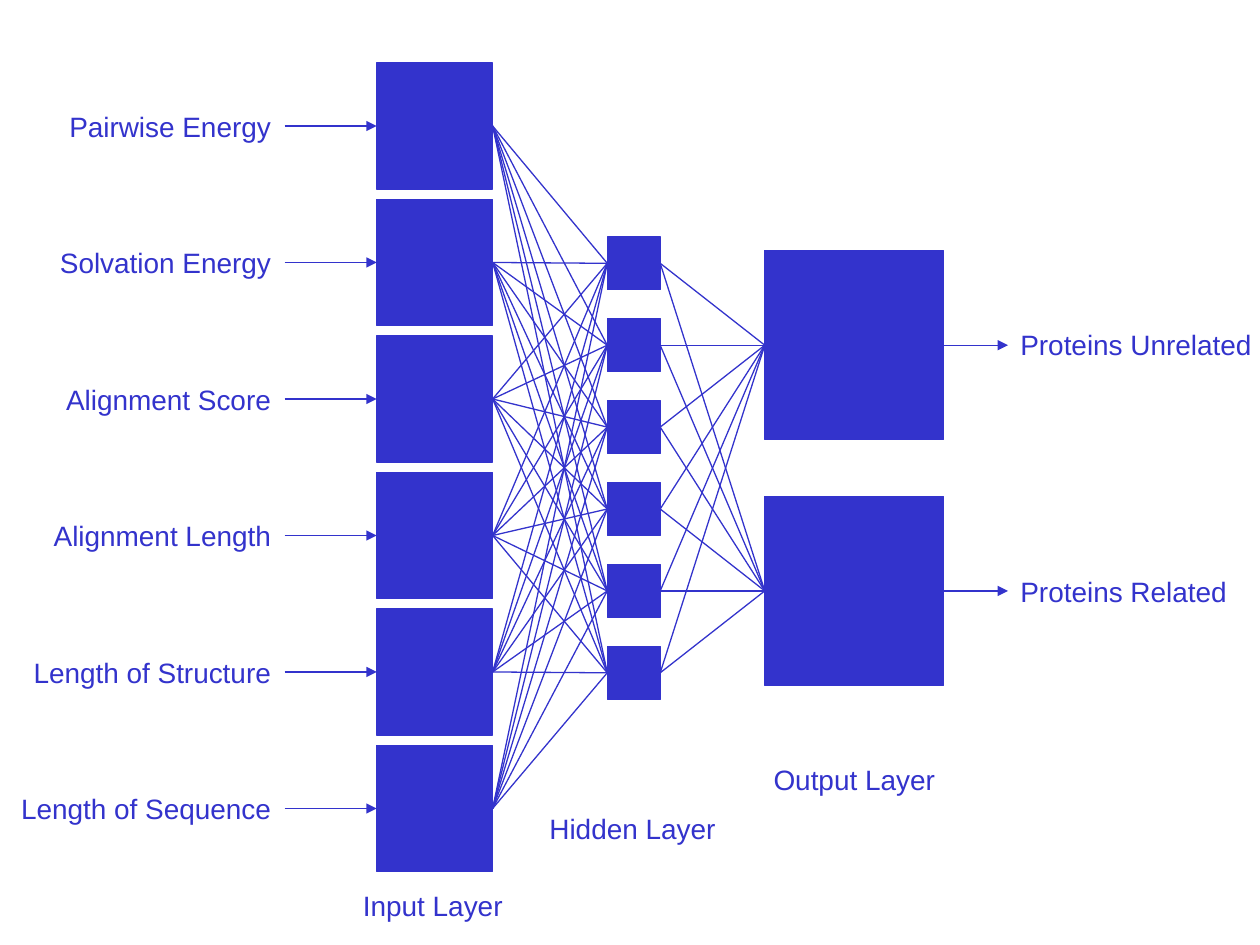
"""Build a slide of a neural network with input, hidden and output layers."""
from itertools import product

from lxml import etree
from pptx import Presentation
from pptx.dml.color import RGBColor
from pptx.enum.shapes import MSO_CONNECTOR, MSO_SHAPE
from pptx.enum.text import MSO_ANCHOR, MSO_AUTO_SIZE, PP_ALIGN
from pptx.oxml.ns import qn
from pptx.util import Inches, Pt

RECT = MSO_SHAPE.RECTANGLE
LINE = MSO_CONNECTOR.STRAIGHT
LEFT, RIGHT, MID = PP_ALIGN.LEFT, PP_ALIGN.RIGHT, PP_ALIGN.CENTER
BLUE = "3333CC"
FONT = {"name": "Arial", "size": Pt(16)}
FRAME = {"word_wrap": False, "auto_size": MSO_AUTO_SIZE.SHAPE_TO_FIT_TEXT,
         "vertical_anchor": MSO_ANCHOR.TOP}


def tint(color, code):
    color.rgb = RGBColor.from_string(code)


def link(start, end, x1=0, x2=0, arrow=False):
    y = (start or end).top + (start or end).height // 2
    wire = slide.shapes.add_connector(LINE, Inches(x1), y, Inches(x2), y)
    if start:
        wire.begin_connect(start, 3)
    if end:
        wire.end_connect(end, 1)
    wire.line.width = Pt(0.75)
    tint(wire.line.color, BLUE)
    props = wire.line._get_or_add_ln()
    if arrow:
        etree.SubElement(props, qn("a:tailEnd"), type="triangle")
    etree.SubElement(props.getparent(), qn("a:effectLst"))


deck = Presentation()
deck.slide_width, deck.slide_height = Inches(10), Inches(7.5)
slide = deck.slides.add_slide(deck.slide_layouts[6])

layers = []
for count, left, top, wide, high, step in [
    (6, 2.99, 0.5, 0.92, 1, 6.5 / 6),
    (6, 4.82, 1.88, 0.42, 0.42, 0.65),
    (2, 6.07, 1.99, 1.42, 1.5, 1.95),
]:
    layer = []
    for row in range(count):
        box = slide.shapes.add_shape(RECT, Inches(left), Inches(top + row * step),
                                     Inches(wide), Inches(high))
        box.shadow.inherit = False
        box.fill.solid()
        tint(box.fill.fore_color, BLUE)
        tint(box.line.color, BLUE)
        box.line.width = Pt(0.75)
        layer.append(box)
    layers.append(layer)
inputs, hidden, outputs = layers

for start, end in [*product(inputs, hidden), *product(hidden, outputs)]:
    link(start, end)
for box in inputs:
    link(None, box, x1=2.26, x2=2.99, arrow=True)
for box in outputs:
    link(box, None, x1=7.49, x2=8, arrow=True)

names = [("Pairwise Energy", 1.84), ("Solvation Energy", 1.91),
         ("Alignment Score", 1.86), ("Alignment Length", 1.96),
         ("Length of Structure", 2.12), ("Length of Sequence", 2.22)]
labels = [(name, 2.25 - wide, 0.82 + row * 6.5 / 6, wide, RIGHT)
          for row, (name, wide) in enumerate(names)]
labels += [
    ("Input Layer", 2.76, 7, 1.35, MID),
    ("Hidden Layer", 4.24, 6.39, 1.56, MID),
    ("Output Layer", 6.02, 6, 1.52, MID),
    ("Proteins Unrelated", 8, 2.55, 2.07, LEFT),
    ("Proteins Related", 8, 4.51, 1.88, LEFT),
]
for name, left, top, wide, align in labels:
    note = slide.shapes.add_textbox(Inches(left), Inches(top),
                                    Inches(wide), Inches(0.37))
    for key, value in FRAME.items():
        setattr(note.text_frame, key, value)
    para = note.text_frame.paragraphs[0]
    para.alignment = align
    run = para.add_run()
    run.text = name
    for key, value in FONT.items():
        setattr(run.font, key, value)
    tint(run.font.color, BLUE)

deck.save("out.pptx")
